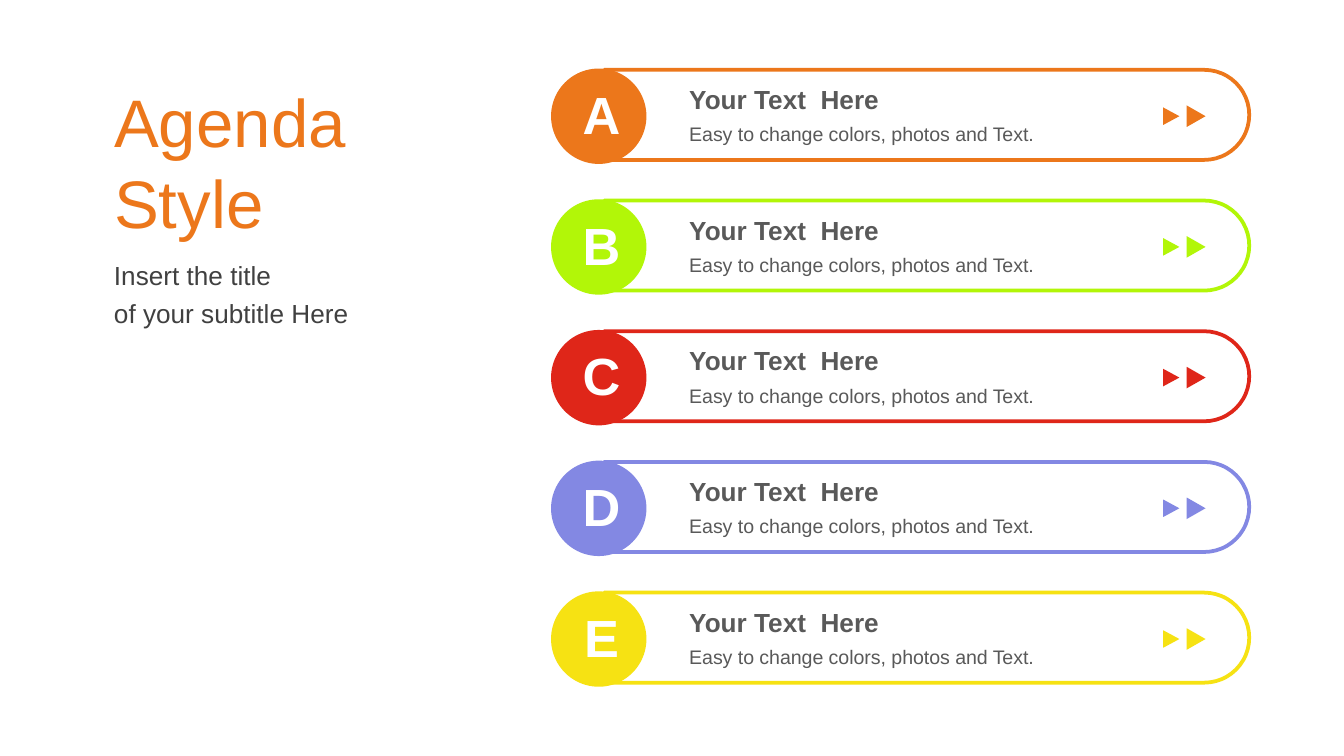
from dataclasses import dataclass

from pptx import Presentation
from pptx.dml.color import RGBColor
from pptx.enum.shapes import MSO_SHAPE
from pptx.enum.text import MSO_ANCHOR, MSO_AUTO_SIZE, PP_ALIGN
from pptx.util import Inches, Pt


@dataclass(frozen=True)
class Theme:
    """Colours, font and type sizes of the slide."""
    font: str = "Arial"
    white: str = "FFFFFF"
    body: str = "595959"
    subtitle: str = "404040"
    accents: tuple = ("EC771B", "B2F608", "DF2619", "8388E3", "F6E213")
    title_size: float = 36
    letter_size: float = 28
    heading_size: float = 14
    detail_size: float = 10.5
    outline: float = 2


THEME = Theme()
LETTERS = "ABCDE"
FIRST_TOP, LAST_TOP = 0.51, 4.4
CIRCLE_SIZE = 0.71


def style_text(frame, size, color, bold=False, align=PP_ALIGN.LEFT):
    """Apply one type style to every paragraph of a frame."""
    frame.word_wrap = True
    frame.auto_size = MSO_AUTO_SIZE.NONE
    for paragraph in frame.paragraphs:
        paragraph.alignment = align
        font = paragraph.font
        font.name = THEME.font
        font.size = Pt(size)
        font.bold = bold
        font.color.rgb = RGBColor.from_string(color)


def add_solid(slide, preset, left, top, width, height, color, rotation=0):
    """Add a filled preset shape without line or shadow."""
    solid = slide.shapes.add_shape(
        preset, Inches(left), Inches(top), Inches(width), Inches(height))
    solid.rotation = rotation
    solid.shadow.inherit = False
    solid.fill.solid()
    solid.fill.fore_color.rgb = RGBColor.from_string(color)
    solid.line.fill.background()
    return solid


def add_label(slide, left, top, width, height, text, size, color,
              bold=False, align=PP_ALIGN.LEFT):
    """Add a text box and return its frame."""
    label = slide.shapes.add_textbox(
        Inches(left), Inches(top), Inches(width), Inches(height))
    frame = label.text_frame
    frame.text = text
    style_text(frame, size, color, bold, align)
    return frame


def add_pill(slide, center_y, color):
    """Add the outlined bar that is rounded at its right end."""
    width, height = 0.67, 4.8
    pill = add_solid(slide, MSO_SHAPE.ROUND_2_SAME_RECTANGLE, 6.56,
                     center_y - height / 2, width, height, THEME.white, 90)
    pill.adjustments[0] = 0.5
    pill.adjustments[1] = 0
    pill.line.color.rgb = RGBColor.from_string(color)
    pill.line.width = Pt(THEME.outline)


def add_badge(slide, top, letter, color):
    """Add the coloured circle and the letter on it."""
    add_solid(slide, MSO_SHAPE.OVAL, 4.1, top, CIRCLE_SIZE, CIRCLE_SIZE, color)
    frame = add_label(slide, 4.23, top + 0.05, 0.49, 0.57, letter,
                      THEME.letter_size, THEME.white, True, PP_ALIGN.CENTER)
    frame.vertical_anchor = MSO_ANCHOR.MIDDLE
    frame.word_wrap = False


def add_agenda_item(slide, top, letter, color):
    """Add one agenda row: bar, badge, texts and two arrowheads."""
    center_y = top + CIRCLE_SIZE / 2
    add_pill(slide, center_y - 0.01, color)
    add_badge(slide, top, letter, color)
    add_label(slide, 5.03, top + 0.06, 3.08, 0.34, "Your Text  Here",
              THEME.heading_size, THEME.body, True)
    add_label(slide, 5.03, top + 0.35, 3.08, 0.28,
              "Easy to change colors, photos and Text.",
              THEME.detail_size, THEME.body)
    for left, width, height in ((8.65, 0.13, 0.12), (8.82, 0.16, 0.14)):
        add_solid(slide, MSO_SHAPE.ISOSCELES_TRIANGLE, left,
                  center_y - height / 2, width, height, color, 90)


def set_title(slide, text):
    """Place and format the title placeholder."""
    title = slide.shapes.title
    title.left, title.top = Inches(0.75), Inches(0.53)
    title.width, title.height = Inches(2.83), Inches(1.34)
    frame = title.text_frame
    frame.text = text
    frame.vertical_anchor = MSO_ANCHOR.MIDDLE
    style_text(frame, THEME.title_size, THEME.accents[0])


def add_subtitle(slide, text):
    """Add the subtitle lines below the title."""
    frame = add_label(slide, 0.75, 1.87, 2.83, 0.63, text,
                      THEME.heading_size, THEME.subtitle)
    frame.vertical_anchor = MSO_ANCHOR.MIDDLE
    for paragraph in frame.paragraphs[1:]:
        paragraph.space_before = Pt(3.5)


def main():
    """Build the agenda slide and save it."""
    presentation = Presentation()
    presentation.slide_width = Inches(10)
    presentation.slide_height = Inches(10) * 9 // 16
    slide = presentation.slides.add_slide(presentation.slide_layouts[5])
    set_title(slide, "Agenda Style")
    add_subtitle(slide, "Insert the title\nof your subtitle Here")
    pitch = (LAST_TOP - FIRST_TOP) / (len(LETTERS) - 1)
    for row, (letter, color) in enumerate(zip(LETTERS, THEME.accents)):
        add_agenda_item(slide, FIRST_TOP + row * pitch, letter, color)
    presentation.save("out.pptx")


if __name__ == "__main__":
    main()
